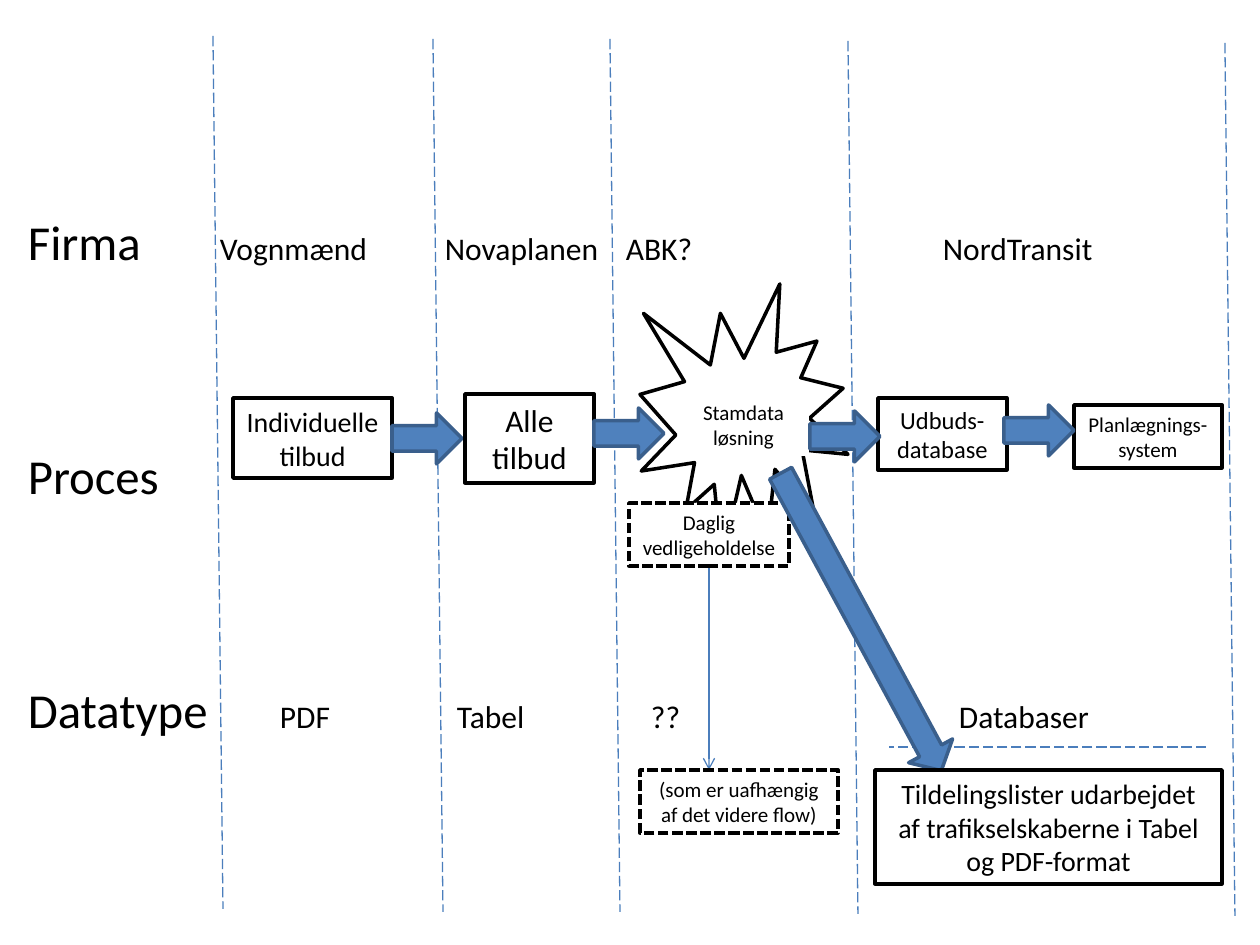
"""Swimlane slide: tender data flow by company, process and data type."""
from lxml.etree import SubElement
from pptx import Presentation
from pptx.dml.color import RGBColor
from pptx.enum.dml import MSO_LINE as DASH
from pptx.enum.shapes import MSO_CONNECTOR, MSO_SHAPE as SHAPE
from pptx.enum.text import MSO_ANCHOR as ANCHOR, PP_ALIGN as ALIGN
from pptx.oxml.ns import qn
from pptx.util import Pt

PX = 914400 // 126
COLORS = {name: RGBColor.from_string(value) for name, value in {
    "ink": "000000", "paper": "FFFFFF", "arrow": "4F81BD",
    "arrow_edge": "3A5F8C", "lane": "4B7EBC"}.items()}

deck = Presentation()
deck.slide_width, deck.slide_height = 1260 * PX, 945 * PX
slide = deck.slides.add_slide(deck.slide_layouts[6])


def write(frame, text, size, align):
    for key, value in {"word_wrap": True, "vertical_anchor": ANCHOR.MIDDLE}.items():
        setattr(frame, key, value)
    paragraph = frame.paragraphs[0]
    paragraph.alignment = align
    run = paragraph.add_run()
    run.text = text
    for key, value in {"name": "Calibri", "size": Pt(size)}.items():
        setattr(run.font, key, value)
    run.font.color.rgb = COLORS["ink"]


def connect(x1, y1, x2, y2, dash=None):
    line = slide.shapes.add_connector(
        MSO_CONNECTOR.STRAIGHT, *(n * PX for n in (x1, y1, x2, y2)))
    line.line.color.rgb = COLORS["lane"]
    for key, value in {"width": Pt(0.75), "dash_style": dash}.items():
        setattr(line.line, key, value)
    SubElement(line._element.spPr, qn("a:effectLst"))
    return line


FIRM_ROW, PROCESS_ROW, DATA_ROW = 258, 492, 726
labels = [
    ("Firma", 28, FIRM_ROW, 27.9), ("Vognmænd", 220, FIRM_ROW, 18),
    ("Novaplanen", 445, FIRM_ROW, 18), ("ABK?", 626, FIRM_ROW, 18),
    ("NordTransit", 943, FIRM_ROW, 18),
    ("Proces", 28, PROCESS_ROW, 27.9),
    ("Datatype", 28, DATA_ROW, 27.9), ("PDF", 280, DATA_ROW, 18),
    ("Tabel", 457, DATA_ROW, 18), ("??", 651, DATA_ROW, 18),
    ("Databaser", 959, DATA_ROW, 18),
]
for text, left, baseline, size in labels:
    top = baseline - round(size * 1.67)
    label = slide.shapes.add_textbox(
        left * PX, top * PX, 200 * PX, round(size * 2.14) * PX)
    for side in ("left", "top", "right", "bottom"):
        setattr(label.text_frame, f"margin_{side}", 0)
    write(label.text_frame, text, size, ALIGN.LEFT)

for x, y in [(213, 36), (433, 39), (610, 39), (848, 41), (1225, 43)]:
    connect(x, y, x + 10, y + 873, DASH.LONG_DASH)
connect(1206, 747, 889, 747, DASH.LONG_DASH)
upkeep_link = connect(709, 567, 709, 770)
SubElement(upkeep_link.line._get_or_add_ln(), qn("a:tailEnd"), type="arrow")

BOX, BURST, ARROW = SHAPE.RECTANGLE, SHAPE.EXPLOSION1, SHAPE.RIGHT_ARROW
steps = [
    (BOX, 233, 398, 159, 80, "Individuelle tilbud", 16, "solid"),
    (ARROW, 392, 413, 70, 51, "", 0, "solid"),
    (BOX, 465, 394, 129, 89, "Alle tilbud", 18, "solid"),
    (BURST, 640, 284, 208, 277, "", 0, "solid"),
    (BOX, 678, 393, 131, 63, "Stamdata løsning", 12, "none"),
    (ARROW, 594, 408, 70, 51, "", 0, "solid"),
    (BOX, 629, 503, 160, 63, "Daglig vedligeholdelse", 12, "dash"),
    (BOX, 640, 770, 198, 63, "(som er uafhængig af det videre flow)", 12, "dash"),
    (BOX, 878, 398, 129, 72, "Udbuds-database", 14, "solid"),
    (ARROW, 810, 411, 70, 51, "", 0, "solid"),
    (BOX, 1074, 405, 148, 63, "Planlægnings-system", 12, "solid"),
    (ARROW, 1004, 405, 70, 51, "", 0, "solid"),
    (ARROW, 692, 597, 338, 50, "", 0, "solid"),
    (BOX, 875, 770, 347, 114,
     "Tildelingslister udarbejdet af trafikselskaberne i Tabel og PDF-format",
     16, "solid"),
]
for kind, left, top, width, height, text, size, edge in steps:
    step = slide.shapes.add_shape(kind, *(n * PX for n in (left, top, width, height)))
    step.shadow.inherit = False
    fill, outline = ("arrow", "arrow_edge") if kind == ARROW else ("paper", "ink")
    step.fill.solid()
    step.fill.fore_color.rgb = COLORS[fill]
    if edge == "none":
        step.line.fill.background()
    else:
        step.line.color.rgb = COLORS[outline]
        step.line.width = Pt(2)
    if edge == "dash":
        step.line.dash_style = DASH.SQUARE_DOT
    if kind == ARROW and width > 300:
        step.rotation = 61.6
        step.adjustments[1] = 0.45
    if text:
        write(step.text_frame, text, size, ALIGN.CENTER)

deck.save("out.pptx")
